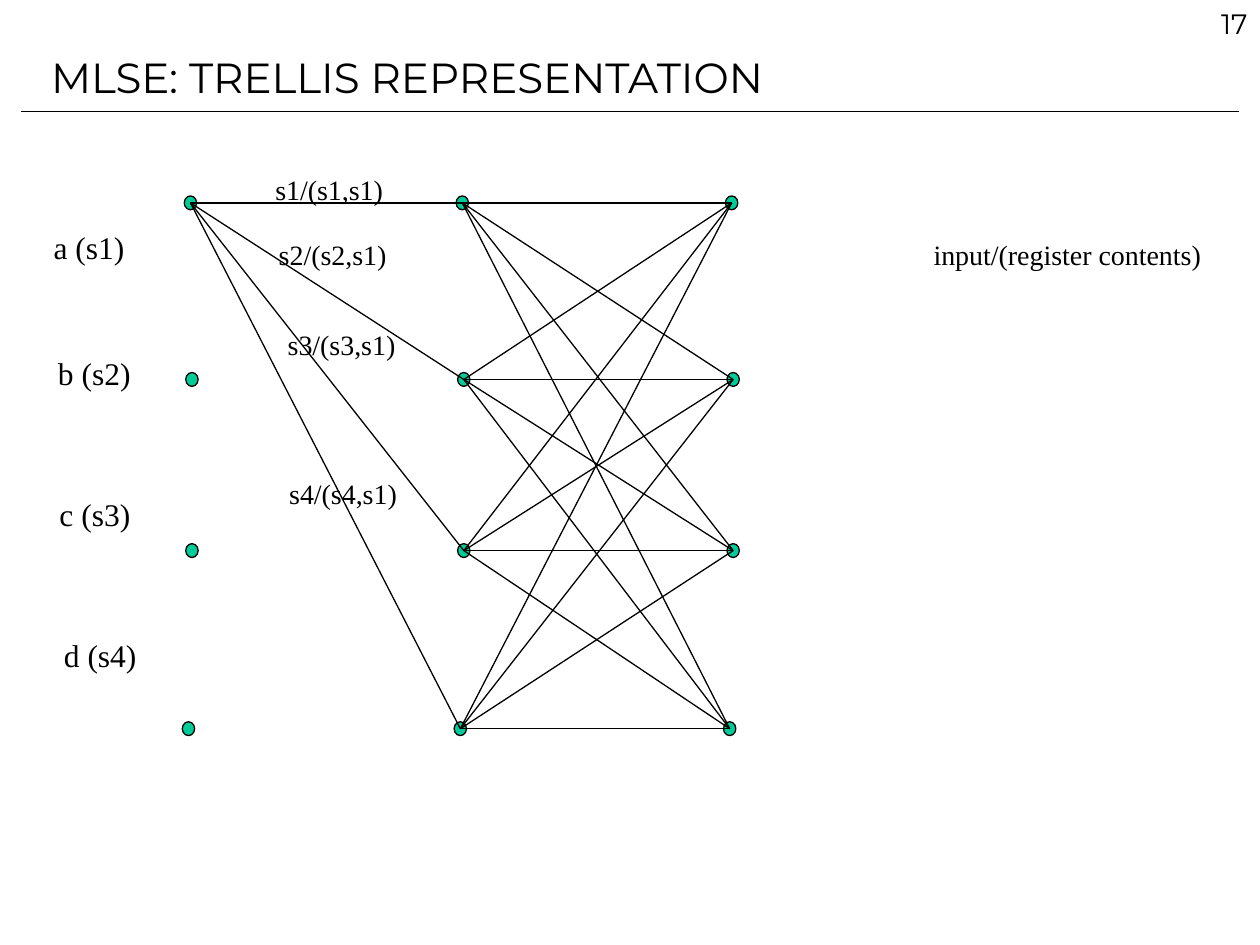
from itertools import product
from typing import NamedTuple

from lxml.etree import SubElement
from pptx import Presentation
from pptx.dml.color import RGBColor
from pptx.enum.shapes import MSO_CONNECTOR, MSO_SHAPE
from pptx.enum.text import MSO_ANCHOR, MSO_AUTO_SIZE, PP_ALIGN
from pptx.oxml.ns import qn
from pptx.slide import Slide
from pptx.util import Cm, Pt

BLACK = RGBColor(0x00, 0x00, 0x00)
GREEN = RGBColor(0x00, 0xCC, 0x99)
SANS = "Montserrat"
SERIF = "Times New Roman"
LINE_WIDTH = Pt(0.75)
DOT_WIDTH, DOT_HEIGHT = 0.25, 0.28


class Point(NamedTuple):
    x: float
    y: float


class Label(NamedTuple):
    words: str
    left: float
    top: float
    width: float
    height: float
    size: int
    font: str = SERIF
    wrap: bool = False
    align: PP_ALIGN = PP_ALIGN.LEFT
    anchor: MSO_ANCHOR = MSO_ANCHOR.TOP


class State(NamedTuple):
    y: float
    shift: float


# All positions are in centimetres.
STAGE_X = [3.84, 9.32, 14.75]
STATES = [State(4.09, 0), State(7.65, 0.03), State(11.1, 0.03), State(14.69, -0.04)]

HEADINGS = [
    Label("17", 20.12, 0, 5.28, 1.27, 16, SANS, True, PP_ALIGN.RIGHT),
    Label("MLSE: TRELLIS REPRESENTATION", 0.78, 0.5, 21.59, 2.11, 24, SANS, True,
          anchor=MSO_ANCHOR.MIDDLE),
]
STATE_LABELS = [
    Label(words, left, top, 2.03, 1.02, 18)
    for words, left, top in [
        ("a (s1)", 0.83, 4.47),
        ("b (s2)", 0.92, 7.01),
        ("c (s3)", 0.95, 9.86),
        ("d (s4)", 1.04, 12.7),
    ]
]
BRANCH_LABELS = [
    Label(words, left, top, 2.74, 0.94, 16)
    for words, left, top in [
        ("s1/(s1,s1)", 5.3, 3.35),
        ("s2/(s2,s1)", 5.37, 4.66),
        ("s3/(s3,s1)", 5.55, 6.48),
        ("s4/(s4,s1)", 5.58, 9.48),
    ]
]
LEGEND = Label("input/(register contents)", 18.57, 4.66, 5.97, 0.94, 16)


def node(stage: int, state: int) -> Point:
    """Centre of the dot for a state at a stage."""
    return Point(STAGE_X[stage] + STATES[state].shift, STATES[state].y)


def add_label(slide: Slide, label: Label) -> None:
    box = slide.shapes.add_textbox(
        Cm(label.left), Cm(label.top), Cm(label.width), Cm(label.height))
    frame = box.text_frame
    frame.word_wrap = label.wrap
    frame.auto_size = MSO_AUTO_SIZE.NONE if label.wrap else MSO_AUTO_SIZE.SHAPE_TO_FIT_TEXT
    frame.vertical_anchor = label.anchor
    paragraph = frame.paragraphs[0]
    paragraph.alignment = label.align
    run = paragraph.add_run()
    run.text = label.words
    run.font.name = label.font
    run.font.size = Pt(label.size)
    run.font.color.rgb = BLACK


def add_line(slide: Slide, start: Point, end: Point) -> None:
    line = slide.shapes.add_connector(
        MSO_CONNECTOR.STRAIGHT, Cm(start.x), Cm(start.y), Cm(end.x), Cm(end.y))
    line.line.color.rgb = BLACK
    line.line.width = LINE_WIDTH
    SubElement(line._element.spPr, qn("a:effectLst"))


def add_stage(slide: Slide, stage: int) -> None:
    """Draw one column of state dots as a group."""
    column = slide.shapes.add_group_shape()
    for state in range(len(STATES)):
        centre = node(stage, state)
        dot = column.shapes.add_shape(
            MSO_SHAPE.OVAL, Cm(centre.x - DOT_WIDTH / 2), Cm(centre.y - DOT_HEIGHT / 2),
            Cm(DOT_WIDTH), Cm(DOT_HEIGHT))
        dot.shadow.inherit = False
        dot.fill.solid()
        dot.fill.fore_color.rgb = GREEN
        dot.line.color.rgb = BLACK
        dot.line.width = LINE_WIDTH


def add_branches(slide: Slide, stage: int, sources: range) -> None:
    """Join the source states of a stage to every state of the next one."""
    for source, target in product(sources, range(len(STATES))):
        add_line(slide, node(stage, source), node(stage + 1, target))


def main() -> None:
    presentation = Presentation()
    presentation.slide_width = Cm(25.4)
    presentation.slide_height = Cm(19.05)
    slide = presentation.slides.add_slide(presentation.slide_layouts[6])

    add_line(slide, Point(0.43, 2.25), Point(24.97, 2.25))
    for label in [*HEADINGS, *STATE_LABELS, *BRANCH_LABELS, LEGEND]:
        add_label(slide, label)
    for stage in range(len(STAGE_X)):
        add_stage(slide, stage)
    add_branches(slide, 0, range(1))
    add_branches(slide, 1, range(len(STATES)))

    presentation.save("out.pptx")


if __name__ == "__main__":
    main()
